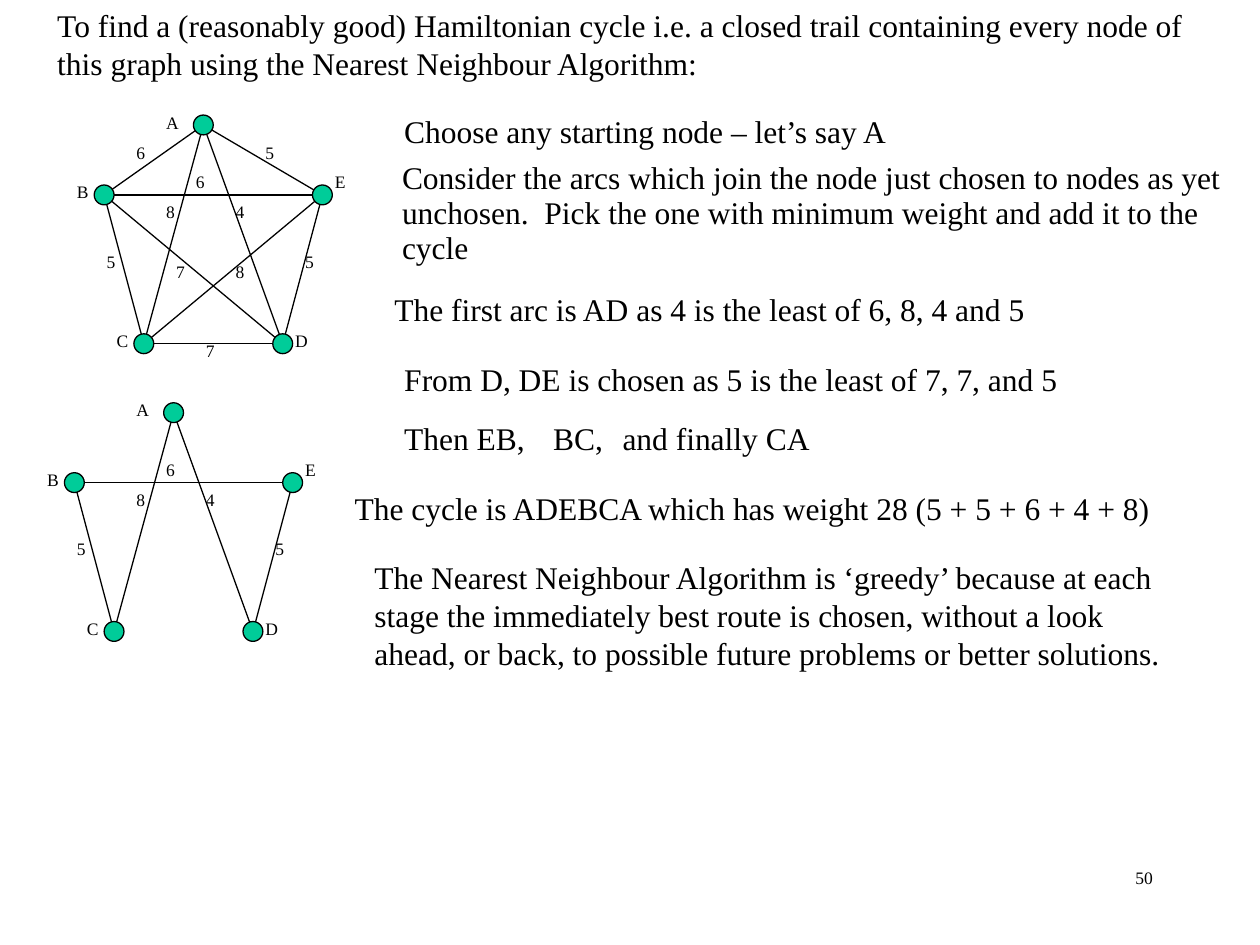
from dataclasses import dataclass

from lxml import etree
from pptx import Presentation
from pptx.dml.color import RGBColor
from pptx.enum.shapes import MSO_CONNECTOR, MSO_SHAPE
from pptx.enum.text import MSO_ANCHOR, MSO_AUTO_SIZE, PP_ALIGN
from pptx.oxml.ns import qn
from pptx.util import Cm, Pt

STRAIGHT = MSO_CONNECTOR.STRAIGHT
OVAL = MSO_SHAPE.OVAL
TOP = MSO_ANCHOR.TOP
NO_FIT = MSO_AUTO_SIZE.NONE
LEFT, RIGHT = PP_ALIGN.LEFT, PP_ALIGN.RIGHT
TITLE_ONLY = 5


@dataclass(frozen=True)
class Theme:
    font: str = "Times New Roman"
    ink: RGBColor = RGBColor(0x00, 0x00, 0x00)
    node: RGBColor = RGBColor(0x00, 0xCC, 0x99)
    text_size: float = 18
    label_size: float = 10
    leading: float = 1.2
    stroke: float = 0.75


THEME = Theme()

TITLE = ("To find a (reasonably good) Hamiltonian cycle i.e. a closed trail containing "
         "every node of this graph using the Nearest Neighbour Algorithm:")
TITLE_AREA = (0.9, 0, 23.8, 1.78)

# One-cell tables: text, then left, top, width and height in centimetres
TABLES = [
    ("Consider the arcs which join the node just chosen to nodes as yet unchosen.  "
     "Pick the one with minimum weight and add it to the cycle",
     (7.85, 3.13, 17.55, 2.54)),
    ("", (19.7, 2.13, 4.65, 1.02)),
]

# Text, then left, top, width and height in centimetres
STEPS = [
    ("Choose any starting node – let’s say A", (7.9, 2.13, 12.6, 1.02)),
    ("The first arc is AD as 4 is the least of 6, 8, 4 and 5", (7.7, 5.72, 16.89, 1.02)),
    ("From D, DE is chosen as 5 is the least of 7, 7, and 5", (7.9, 7.14, 16.89, 1.02)),
    ("Then EB,", (7.9, 8.33, 3.4, 1.02)),
    ("BC,", (10.9, 8.33, 1.6, 1.02)),
    ("and finally CA", (12.3, 8.33, 5.59, 1.02)),
    ("The cycle is ADEBCA which has weight 28 (5 + 5 + 6 + 4 + 8)",
     (6.9, 9.73, 18.49, 1.02)),
    ("The Nearest Neighbour Algorithm is ‘greedy’ because at each stage the immediately "
     "best route is chosen, without a look ahead, or back, to possible future problems "
     "or better solutions.", (7.3, 11.13, 16.79, 2.54)),
]
PAGE_NUMBER = ("50", (18.21, 17.35, 5.28, 1.27))

# Node: centre, then the corner of its letter
NODES = {
    "A": ((4.1, 2.52), (3.1, 2.13)),
    "B": ((2.1, 3.93), (1.3, 3.53)),
    "C": ((2.9, 6.93), (2.1, 6.53)),
    "D": ((5.7, 6.93), (5.7, 6.53)),
    "E": ((6.5, 3.93), (6.5, 3.33)),
}
# Arc: weight, then the corner of its number
ARCS = {
    "AB": ("6", (2.5, 2.73)),
    "AC": ("8", (3.1, 3.93)),
    "AD": ("4", (4.5, 3.93)),
    "AE": ("5", (5.1, 2.73)),
    "BC": ("5", (1.9, 4.93)),
    "BD": ("7", (3.3, 5.13)),
    "BE": ("6", (3.7, 3.33)),
    "CD": ("7", (3.9, 6.73)),
    "CE": ("8", (4.5, 5.13)),
    "DE": ("5", (5.9, 4.93)),
}
CYCLE = ["AD", "DE", "BE", "BC", "AC"]
CYCLE_OFFSET = (-0.6, 5.8)
NODE_SIZE = 0.4
LABEL_AREA = (0.66, 0.69)


def to_cm(lengths):
    return [Cm(length) for length in lengths]


def write(frame, text, size, align=LEFT, leading=True):
    paragraph = frame.paragraphs[0]
    paragraph.alignment = align
    paragraph.space_before = Pt(0)
    if leading:
        paragraph.line_spacing = Pt(size * THEME.leading)
    run = paragraph.add_run()
    run.text = text
    run.font.name = THEME.font
    run.font.size = Pt(size)
    run.font.bold = False
    run.font.color.rgb = THEME.ink


def add_text(slide, text, area, size, align=LEFT):
    frame = slide.shapes.add_textbox(*to_cm(area)).text_frame
    frame.word_wrap = True
    write(frame, text, size, align)


def add_title(slide):
    title = slide.shapes.title
    title.left, title.top, title.width, title.height = to_cm(TITLE_AREA)
    frame = title.text_frame
    frame.word_wrap = True
    frame.auto_size = NO_FIT
    frame.vertical_anchor = TOP
    write(frame, TITLE, THEME.text_size)


def add_one_cell_table(slide, text, area):
    table = slide.shapes.add_table(1, 1, *to_cm(area)).table
    table.first_row = table.horz_banding = False
    cell = table.cell(0, 0)
    cell.fill.background()
    if text:
        write(cell.text_frame, text, THEME.text_size, leading=False)


def add_graph(slide, arcs, offset=(0, 0)):
    """Draw the given arcs, all nodes and their labels, moved by the offset."""
    def place(point):
        return point[0] + offset[0], point[1] + offset[1]

    for start, end in arcs:
        ends = place(NODES[start][0]) + place(NODES[end][0])
        line = slide.shapes.add_connector(STRAIGHT, *to_cm(ends))
        line.line.color.rgb = THEME.ink
        line.line.width = Pt(THEME.stroke)
        etree.SubElement(line._element.spPr, qn("a:effectLst"))

    for centre, _ in NODES.values():
        x, y = place(centre)
        box = (x - NODE_SIZE / 2, y - NODE_SIZE / 2, NODE_SIZE, NODE_SIZE)
        dot = slide.shapes.add_shape(OVAL, *to_cm(box))
        dot.shadow.inherit = False
        dot.fill.solid()
        dot.fill.fore_color.rgb = THEME.node
        dot.line.color.rgb = THEME.ink
        dot.line.width = Pt(THEME.stroke)

    letters = [(name, corner) for name, (_, corner) in NODES.items()]
    for text, corner in letters + [ARCS[arc] for arc in arcs]:
        add_text(slide, text, place(corner) + LABEL_AREA, THEME.label_size)


def main():
    deck = Presentation()
    deck.slide_width, deck.slide_height = Cm(25.4), Cm(19.05)
    slide = deck.slides.add_slide(deck.slide_layouts[TITLE_ONLY])
    add_title(slide)
    add_graph(slide, list(ARCS))
    for text, area in STEPS:
        add_text(slide, text, area, THEME.text_size)
    for text, area in TABLES:
        add_one_cell_table(slide, text, area)
    add_graph(slide, CYCLE, CYCLE_OFFSET)
    add_text(slide, *PAGE_NUMBER, THEME.label_size, RIGHT)
    deck.save("out.pptx")


if __name__ == "__main__":
    main()
